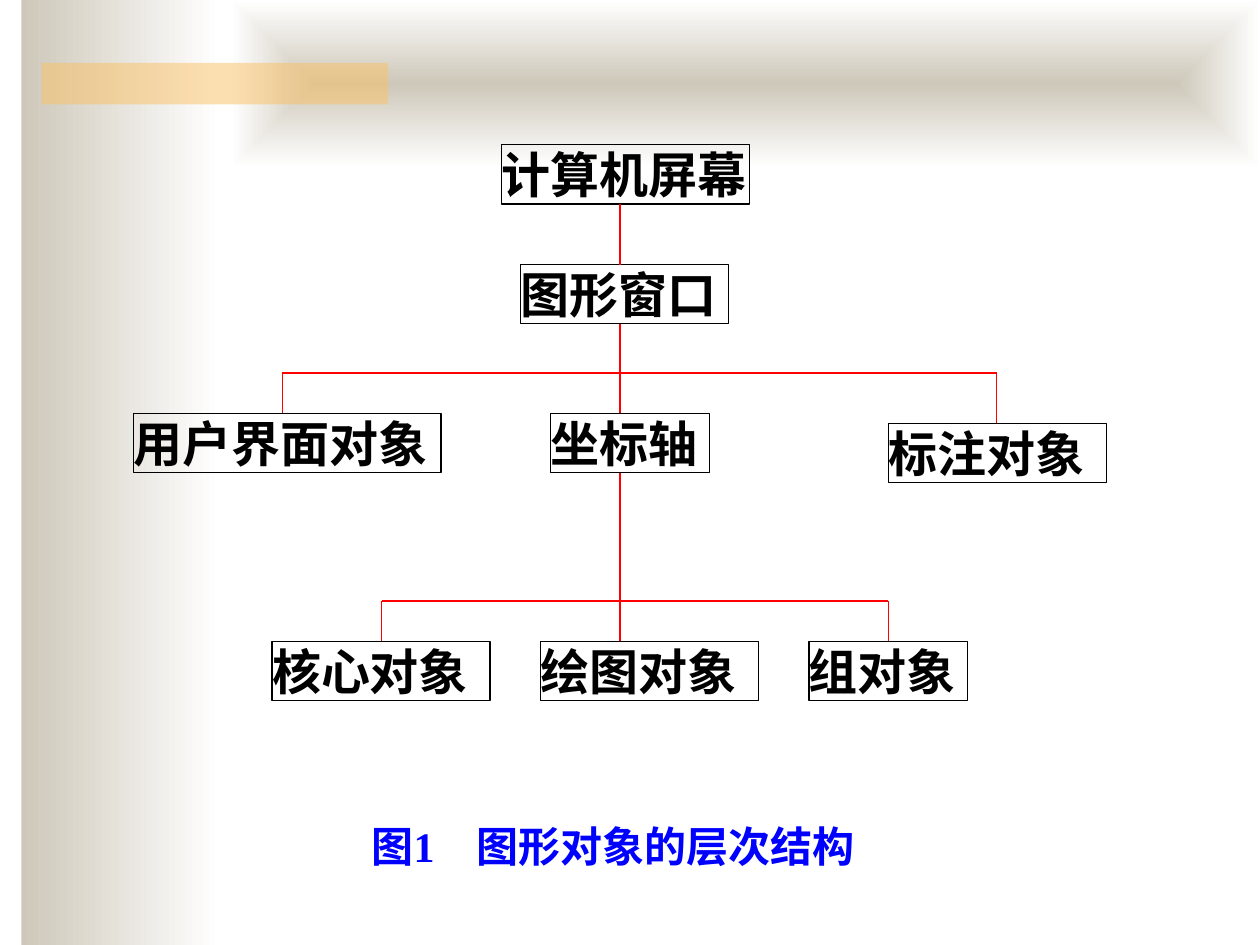
from dataclasses import dataclass

from lxml.etree import SubElement
from pptx import Presentation
from pptx.dml.color import RGBColor
from pptx.enum.shapes import MSO_CONNECTOR, MSO_SHAPE
from pptx.enum.text import MSO_ANCHOR, PP_ALIGN
from pptx.oxml.ns import qn
from pptx.util import Inches, Pt


@dataclass(frozen=True)
class Theme:
    sand: RGBColor = RGBColor(0xCE, 0xC8, 0xBA)
    white: RGBColor = RGBColor(0xFF, 0xFF, 0xFF)
    gold: RGBColor = RGBColor(0xFA, 0xC1, 0x64)
    ink: RGBColor = RGBColor(0, 0, 0)
    red: RGBColor = RGBColor(0xFF, 0, 0)
    blue: RGBColor = RGBColor(0, 0, 0xFF)
    font: str = "Times New Roman"
    node: int = 28
    note: int = 24
    rule: float = 0.75


THEME = Theme()
ROW = 0.47   # node height
STEM = 4.92  # x of the central line

# label, left, top, width
NODES = [
    ("计算机屏幕", 3.98, 1.15, 1.97),
    ("图形窗口", 4.13, 2.1, 1.65),
    ("用户界面对象", 1.06, 3.28, 2.44),
    ("坐标轴", 4.37, 3.28, 1.26),
    ("标注对象", 7.05, 3.36, 1.73),
    ("核心对象", 2.16, 5.09, 1.73),
    ("绘图对象", 4.29, 5.09, 1.73),
    ("组对象", 6.42, 5.09, 1.26),
]
# top and bottom of each piece of the central line
STEMS = [(1.62, 2.1), (2.57, 3.28), (3.75, 5.09)]
# y of the bar, then (x, bottom) of its left and right drops
FORKS = [
    (2.96, (2.24, 3.28), (7.91, 3.36)),
    (4.77, (3.03, 5.09), (7.05, 5.09)),
]


def add_rect(slide, box):
    shape = slide.shapes.add_shape(MSO_SHAPE.RECTANGLE, *map(Inches, box))
    shape.shadow.inherit = False
    shape.line.fill.background()
    return shape


def add_fade(slide, box, framed=False):
    """Fade from sand to white, rightwards or from the middle to the frame."""
    fill = add_rect(slide, box).fill
    fill.gradient()
    fill.gradient_angle = 0
    for stop, color in zip(fill.gradient_stops, (THEME.sand, THEME.white)):
        stop.color.rgb = color
    if framed:
        slide_shape = slide.shapes[-1]
        grad = slide_shape.element.spPr.find(qn("a:gradFill"))
        grad.remove(grad.find(qn("a:lin")))
        path = SubElement(grad, qn("a:path"), {"path": "rect"})
        SubElement(path, qn("a:fillToRect"), dict.fromkeys("ltrb", "50000"))


def add_tint(slide, box):
    shape = add_rect(slide, box)
    shape.fill.solid()
    shape.fill.fore_color.rgb = THEME.gold
    color = shape.element.spPr.find(qn("a:solidFill"))[0]
    SubElement(color, qn("a:alpha"), {"val": "50000"})


def set_text(shape, text, size, color):
    frame = shape.text_frame
    frame.text = text
    frame.word_wrap = True
    frame.vertical_anchor = MSO_ANCHOR.TOP
    frame.margin_left = frame.margin_right = 0
    frame.margin_top = frame.margin_bottom = 0
    line = frame.paragraphs[0]
    line.alignment = PP_ALIGN.LEFT
    font = line.runs[0].font
    font.name, font.size, font.bold = THEME.font, Pt(size), True
    font.color.rgb = color


def add_node(slide, text, left, top, width):
    shape = add_rect(slide, (left, top, width, ROW))
    shape.fill.background()
    shape.line.color.rgb = THEME.ink
    shape.line.width = Pt(THEME.rule)
    set_text(shape, text, THEME.node, THEME.ink)


def add_line(slide, *ends):
    line = slide.shapes.add_connector(MSO_CONNECTOR.STRAIGHT, *map(Inches, ends))
    line.line.color.rgb = THEME.red
    line.line.width = Pt(THEME.rule)
    SubElement(line.element.spPr, qn("a:effectLst"))


def add_fork(slide, bar, left, right):
    for x, foot in (left, right):
        add_line(slide, x, bar, x, foot)
    add_line(slide, left[0], bar, right[0], bar)


def add_tree(slide):
    for node in NODES:
        add_node(slide, *node)
    for top, foot in STEMS:
        add_line(slide, STEM, top, STEM, foot)
    for fork in FORKS:
        add_fork(slide, *fork)


def add_note(slide, text, box):
    shape = slide.shapes.add_textbox(*map(Inches, box))
    set_text(shape, text, THEME.note, THEME.blue)


def main():
    deck = Presentation()
    deck.slide_width, deck.slide_height = Inches(10), Inches(7.5)
    slide = deck.slides.add_slide(deck.slide_layouts[6])
    add_fade(slide, (0.17, 0, 1.58, 7.5))
    add_fade(slide, (1.83, 0, 8.17, 1.33), framed=True)
    add_tint(slide, (0.33, 0.5, 2.75, 0.33))
    add_tree(slide)
    add_note(slide, "图1\u3000图形对象的层次结构".replace("\u3000", "　"), (2.95, 6.51, 4.33, 0.4))
    deck.save("out.pptx")


if __name__ == "__main__":
    main()
